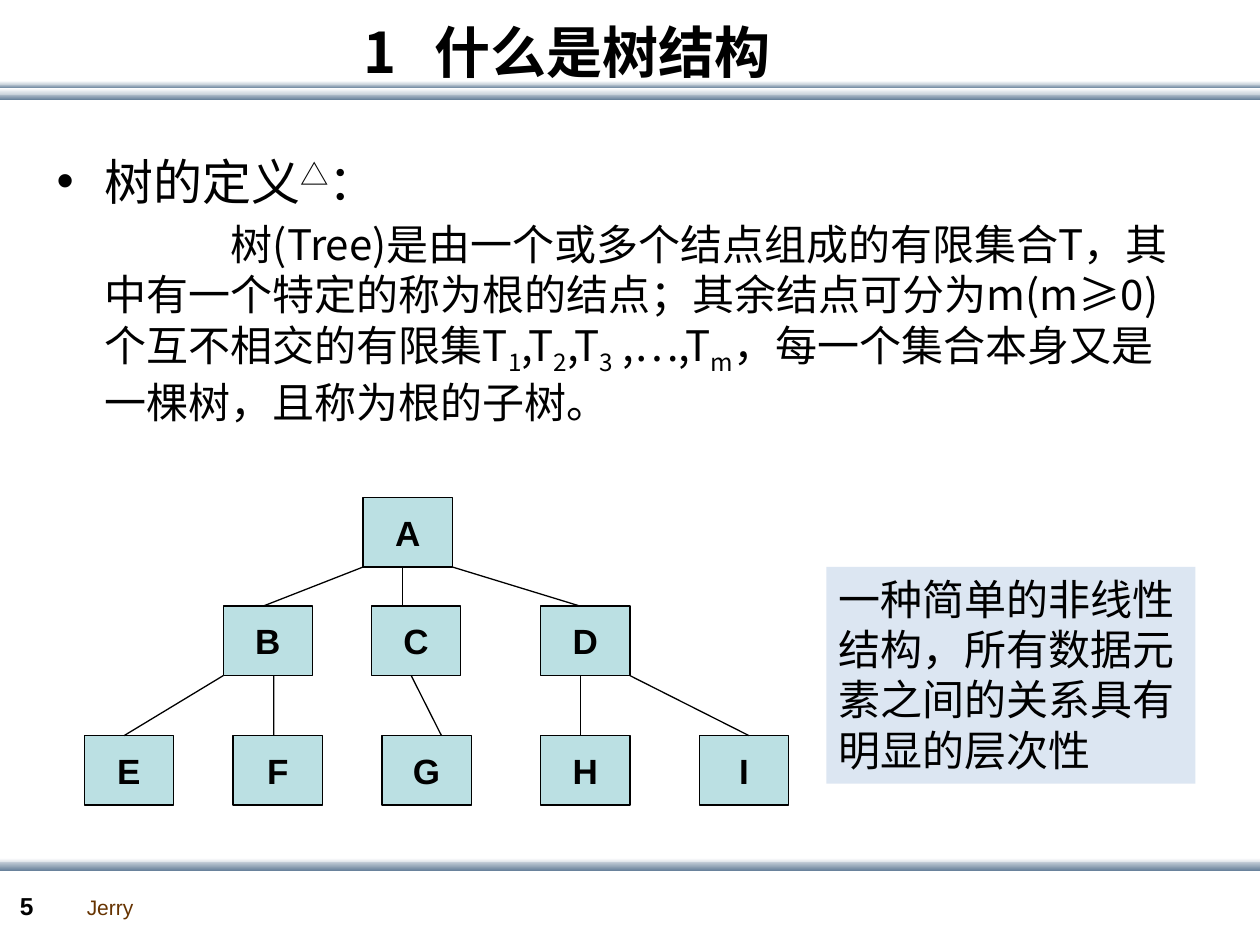
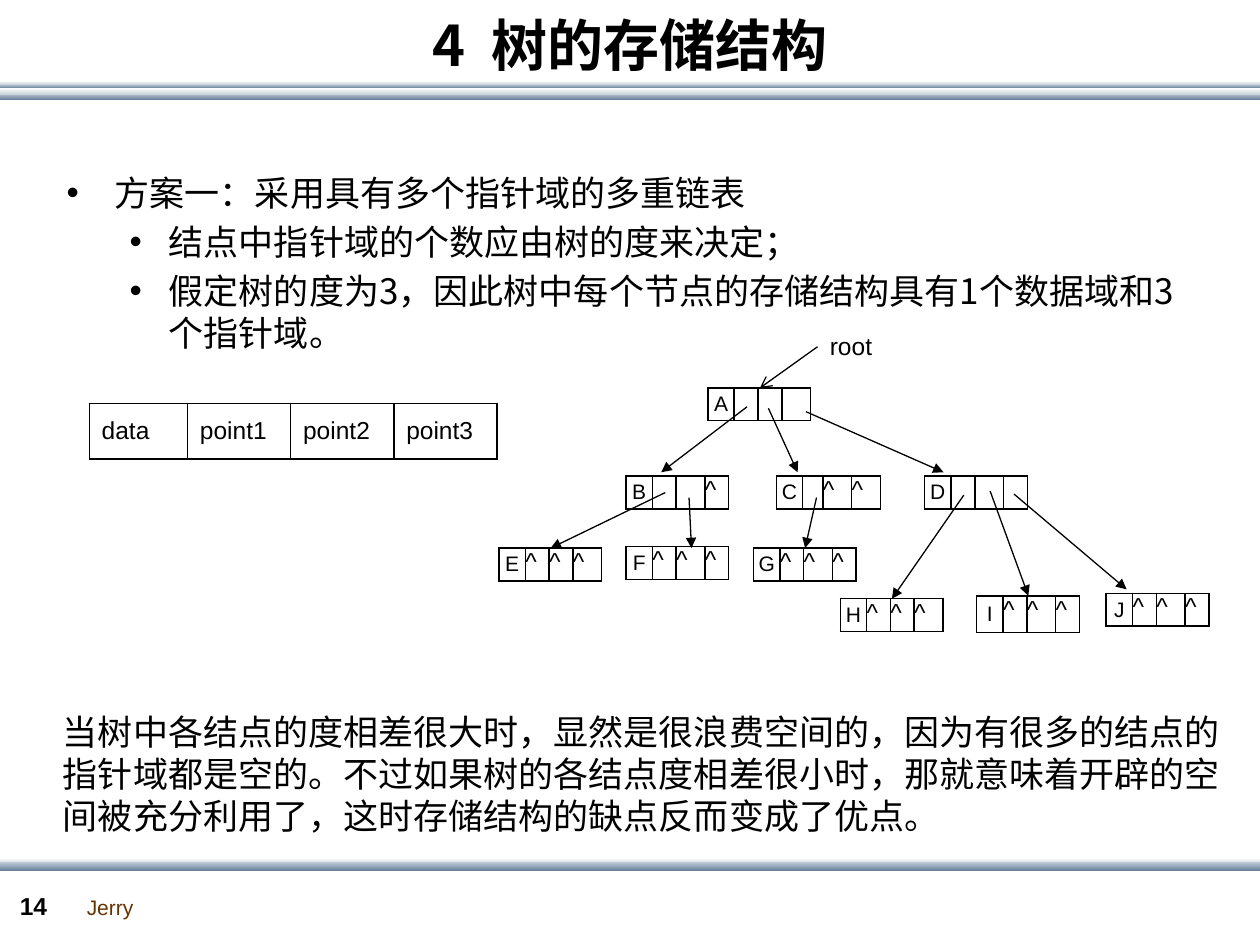
from dataclasses import dataclass

from lxml import etree
from pptx import Presentation
from pptx import util as u
from pptx.dml.color import RGBColor
from pptx.enum import shapes, text
from pptx.oxml.ns import qn

Cm, Pt = u.Cm, u.Pt


@dataclass(frozen=True)
class Theme:
    black: str = "000000"
    white: str = "FFFFFF"
    mist: str = "C8D1DA"
    steel: str = "6A839C"
    brown: str = "663300"
    node: str = "BBE0E3"
    note: str = "DCE6F2"
    latin: str = "Arial"
    cjk: str = "Noto Sans CJK SC"
    title: int = 32
    heading: int = 28
    large: int = 24
    medium: int = 20
    small: int = 14
    tiny: int = 12
    thin: float = 0.75
    border: float = 1


T = Theme()

# Shared decoration: top, height, upper colour, lower colour
BANDS = [
    (1.88, 0.13, T.mist, T.steel),
    (1.7, 0.08, T.mist, T.steel),
    (1.78, 0.13, T.white, T.mist),
    (1.63, 0.08, T.white, T.mist),
    (17.3, 0.13, T.white, T.mist),
    (17.37, 0.18, T.mist, T.steel),
]
BAND_WIDTH = 25.43
AUTHOR = "Jerry"

# Slide on the definition of a tree; runs are (text, size, baseline %)
DEFINITION_HEAD = [("树的定义", T.heading, 0), ("△", T.heading, 30), ("：", T.heading, 0)]
DEFINITION = [(words, T.large, base) for words, base in [
    ("树(Tree)是由一个或多个结点组成的有限集合T，其中有一个特定的称为根的结点；"
     "其余结点可分为m(m≥0)个互不相交的有限集T", 0),
    ("1", -25), (",T", 0), ("2", -25), (",T", 0), ("3", -25), (" ,…,T", 0), ("m", -25),
    ("，每一个集合本身又是一棵树，且称为根的子树。", 0),
]]
NOTE = "一种简单的非线性结构，所有数据元素之间的关系具有明显的层次性"

BOX_W, BOX_H = 1.8, 1.4
TREE_ROWS = [
    (10.03, {"A": 7.32}),
    (12.22, {"B": 4.5, "C": 7.49, "D": 10.9}),
    (14.83, {"E": 1.7, "F": 4.7, "G": 7.7, "H": 10.9, "I": 14.1}),
]
# parent, child, distance along the parent's bottom, distance along the child's top
TREE_EDGES = [
    ("A", "B", 0, 0.8), ("A", "C", 0.79, 0.62), ("A", "D", 1.8, 0.8),
    ("B", "E", 0, 0.8), ("B", "F", 1.02, 0.82), ("C", "G", 0.8, 1.2),
    ("D", "H", 0.8, 0.8), ("D", "I", 1.8, 1),
]

# Slide on storage
STORAGE_POINTS = [
    (0, "方案一：采用具有多个指针域的多重链表"),
    (1, "结点中指针域的个数应由树的度来决定；"),
    (1, "假定树的度为3，因此树中每个节点的存储结构具有1个数据域和3个指针域。"),
]
SUMMARY = ("当树中各结点的度相差很大时，显然是很浪费空间的，因为有很多的结点的指针域都是空的。"
           "不过如果树的各结点度相差很小时，那就意味着开辟的空间被充分利用了，"
           "这时存储结构的缺点反而变成了优点。")
FIELDS = ["data", "point1", "point2", "point3"]
FIELD_WIDTHS = [1.98, 2.08, 2.08, 2.08]

LAST_WIDE = [0.53, 0.48, 0.48, 0.58]
THIRD_WIDE = [0.53, 0.48, 0.58, 0.48]
TWO_WIDE = [0.53, 0.41, 0.58, 0.58]
CELL_H = 0.66
NIL = "^"
# name: left, top, height, column widths, pointers
RECORDS = {
    "A": (14.27, 7.82, CELL_H, LAST_WIDE, ["", "", ""]),
    "B": (12.62, 9.6, CELL_H, THIRD_WIDE, ["", "", NIL]),
    "C": (15.65, 9.6, CELL_H, TWO_WIDE, ["", NIL, NIL]),
    "D": (18.64, 9.6, CELL_H, THIRD_WIDE, ["", "", ""]),
    "E": (10.06, 11.05, CELL_H, LAST_WIDE, [NIL] * 3),
    "F": (12.62, 11.02, CELL_H, THIRD_WIDE, [NIL] * 3),
    "G": (15.19, 11.05, CELL_H, THIRD_WIDE, [NIL] * 3),
    "H": (16.94, 12.07, CELL_H, LAST_WIDE, [NIL] * 3),
    "I": (19.69, 12.01, 0.74, THIRD_WIDE, [NIL] * 3),
    "J": (22.3, 11.96, CELL_H, THIRD_WIDE, [NIL] * 3),
}
# parent, child, offset from the parent's corner, offset from the child's corner
POINTERS = [
    ("A", "B", (0.79, 0.38), (0.71, -0.08)),
    ("A", "C", (1.22, 0.41), (0.43, -0.08)),
    ("A", "D", (1.98, 0.48), (0.38, -0.08)),
    ("B", "E", (0.79, 0.33), (1.04, 0)),
    ("B", "F", (1.27, 0.43), (1.32, 0.03)),
    ("C", "G", (0.81, 0.43), (1.04, 0)),
    ("D", "H", (0.79, 0.38), (1.04, 0)),
    ("D", "I", (1.32, 0.3), (1.04, 0)),
    ("D", "J", (1.8, 0.36), (0.41, -0.08)),
]


def rgb(color):
    return RGBColor.from_string(color)


def place(sp, left, top, width, height):
    sp.left, sp.top, sp.width, sp.height = map(Cm, (left, top, width, height))


def add_run(p, words, size, font=T.latin, color=T.black, bold=False, baseline=0):
    r = p.add_run()
    r.text = words
    r.font.size, r.font.bold, r.font.name = Pt(size), bold, font
    r.font.color.rgb = rgb(color)
    rpr = r.font._element
    etree.SubElement(rpr, qn("a:ea"), typeface=font)
    if baseline:
        rpr.set("baseline", str(baseline * 1000))


def add_text(s, words, at, size, wrap=True, **style):
    sp = s.shapes.add_textbox(*map(Cm, at))
    sp.text_frame.word_wrap = wrap
    add_run(sp.text_frame.paragraphs[0], words, size, **style)
    return sp


def add_rect(s, at):
    sp = s.shapes.add_shape(shapes.MSO_SHAPE.RECTANGLE, *map(Cm, at))
    sp.shadow.inherit = False
    return sp


def add_line(s, start, end, arrow=None):
    c = s.shapes.add_connector(shapes.MSO_CONNECTOR.STRAIGHT, *map(Cm, (*start, *end)))
    c.line.color.rgb = rgb(T.black)
    c.line.width = Pt(T.thin)
    spPr = c.element.spPr
    if arrow:
        etree.SubElement(spPr.find(qn("a:ln")), qn("a:tailEnd"), type=arrow)
    etree.SubElement(spPr, qn("a:effectLst"))


def indent(p, margin, first, bullet=None):
    ppr = p._p.get_or_add_pPr()
    ppr.set("marL", str(Cm(margin)))
    ppr.set("indent", str(Cm(first)))
    if bullet:
        etree.SubElement(ppr, qn("a:buFont"), typeface=T.latin)
        etree.SubElement(ppr, qn("a:buChar"), char=bullet)
    else:
        etree.SubElement(ppr, qn("a:buNone"))


def style_cell(cell, words, size, anchor, margins, align=None):
    """Fill a cell with text and give it plain black borders."""
    cell.margin_left, cell.margin_top, cell.margin_right, cell.margin_bottom = map(Cm, margins)
    cell.vertical_anchor = anchor
    p = cell.text_frame.paragraphs[0]
    p.alignment = align
    if words:
        add_run(p, words, size)
    else:
        etree.SubElement(p._p, qn("a:endParaRPr"), sz=str(size * 100))
    tcPr = cell._tc.get_or_add_tcPr()
    for side in ("lnL", "lnR", "lnT", "lnB"):
        ln = etree.SubElement(tcPr, qn("a:" + side), w=str(Pt(T.border)))
        fill = etree.SubElement(ln, qn("a:solidFill"))
        etree.SubElement(fill, qn("a:srgbClr"), val=T.black)
    cell.fill.background()


def add_row_table(s, left, top, height, widths):
    """Add a one-row table and return its cells."""
    frame = s.shapes.add_table(1, len(widths), *map(Cm, (left, top, sum(widths), height)))
    tbl = frame.table
    tbl.first_row = tbl.horz_banding = False
    for col, width in zip(tbl.columns, widths):
        col.width = Cm(width)
    return list(tbl.rows[0].cells)


def decorate_layout(s, layout):
    """Draw the bands and author on a slide, then move them to its layout."""
    parts = []
    for top, height, upper, lower in BANDS:
        sp = add_rect(s, (0, top, BAND_WIDTH, height))
        sp.line.fill.background()
        sp.fill.gradient()
        sp.fill.gradient_angle = 270
        for stop, color, position in zip(sp.fill.gradient_stops, (upper, lower), (0, 1)):
            stop.color.rgb = rgb(color)
            stop.position = position
        parts.append(sp)
    parts.append(add_text(s, AUTHOR, (1.5, 17.91, 1.47, 0.76), T.tiny,
                          wrap=False, color=T.brown))
    for sp in parts:
        layout.shapes.element.append(sp.element)


def start_slide(prs, title, title_at, body_at, number):
    """Add a slide with title and number; return it with its body text frame."""
    s = prs.slides.add_slide(prs.slide_layouts[1])
    sp, body = s.shapes.title, s.placeholders[1]
    place(sp, *title_at)
    place(body, *body_at)
    for tf in (sp.text_frame, body.text_frame):
        tf.auto_size = text.MSO_AUTO_SIZE.NONE
    add_run(sp.text_frame.paragraphs[0], title, T.title, font=T.cjk, bold=True)
    add_text(s, number, (0.15, 17.83, 1.4, 0.84), T.small, bold=True)
    return s, body.text_frame


def build_definition(prs):
    s, tf = start_slide(prs, "1   什么是树结构", (0, 0.05, 22.86, 1.96),
                        (0.89, 2.92, 23.22, 6.6), "5")
    head, definition = tf.paragraphs[0], tf.add_paragraph()
    indent(head, 0.97, -0.97, "•")
    indent(definition, 0.97, 2.54)
    for p, runs in ((head, DEFINITION_HEAD), (definition, DEFINITION)):
        for words, size, base in runs:
            add_run(p, words, size, font=T.cjk, baseline=base)

    corners = {name: (x, y) for y, row in TREE_ROWS for name, x in row.items()}
    for name, corner in corners.items():
        sp = add_rect(s, (*corner, BOX_W, BOX_H))
        sp.fill.solid()
        sp.fill.fore_color.rgb = rgb(T.node)
        sp.line.color.rgb = rgb(T.black)
        sp.line.width = Pt(T.thin)
        sp.text_frame.word_wrap = False
        p = sp.text_frame.paragraphs[0]
        p.alignment = text.PP_ALIGN.CENTER
        add_run(p, name, T.medium, bold=True)
    for parent, child, out, into in TREE_EDGES:
        (px, py), (cx, cy) = corners[parent], corners[child]
        add_line(s, (px + out, py + BOX_H), (cx + into, cy))

    note = add_rect(s, (16.66, 11.43, 7.44, 4.37))
    note.fill.solid()
    note.fill.fore_color.rgb = rgb(T.note)
    note.line.fill.background()
    note.text_frame.word_wrap = True
    note.text_frame.vertical_anchor = text.MSO_ANCHOR.TOP
    p = note.text_frame.paragraphs[0]
    p.alignment = text.PP_ALIGN.LEFT
    add_run(p, NOTE, T.large, font=T.cjk)
    return s


def build_storage(prs):
    s, tf = start_slide(prs, "4  树的存储结构", (0, -0.03, 25.4, 1.83),
                        (1.09, 3.33, 23.24, 4.19), "14")
    for i, (level, words) in enumerate(STORAGE_POINTS):
        p = tf.add_paragraph() if i else tf.paragraphs[0]
        p.level = level
        indent(p, *((2.06, -0.79) if level else (0.97, -0.97)), "•")
        add_run(p, words, T.medium, font=T.cjk)
    add_text(s, SUMMARY, (1.02, 14.2, 23.85, 2.82), T.medium, font=T.cjk)

    middle, top = text.MSO_ANCHOR.MIDDLE, text.MSO_ANCHOR.TOP
    for cell, field in zip(add_row_table(s, 1.8, 8.13, 1.12, FIELD_WIDTHS), FIELDS):
        style_cell(cell, field, T.small, middle, (0.25, 0.1, 0.3, 0.1))
    flush = (0, 0, 0, 0)
    for name, (x, y, height, widths, pointers) in RECORDS.items():
        label, *slots = add_row_table(s, x, y, height, widths)
        style_cell(label, name, T.tiny, middle, flush, text.PP_ALIGN.CENTER)
        for cell, pointer in zip(slots, pointers):
            style_cell(cell, pointer, T.small, top, flush)
    for parent, child, out, into in POINTERS:
        (px, py), (cx, cy) = RECORDS[parent][:2], RECORDS[child][:2]
        add_line(s, (px + out[0], py + out[1]), (cx + into[0], cy + into[1]), "triangle")

    add_text(s, "root", (16.48, 6.55, 2.46, 0.86), T.small)
    add_line(s, (16.48, 6.99), (15.32, 7.82), "arrow")


def main():
    prs = Presentation()
    prs.slide_width, prs.slide_height = Cm(25.4), Cm(19.05)
    first = build_definition(prs)
    decorate_layout(first, first.slide_layout)
    build_storage(prs)
    prs.save("out.pptx")


if __name__ == "__main__":
    main()
